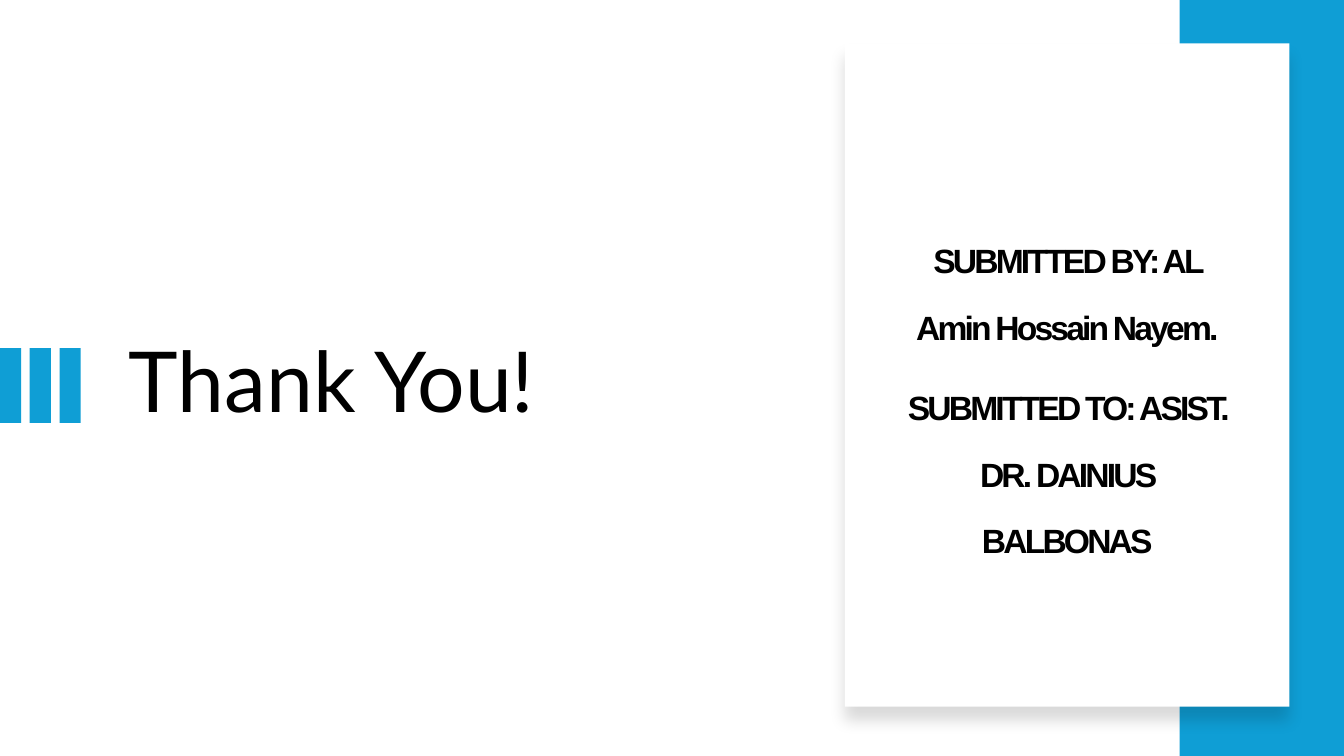
from lxml import etree
from pptx import Presentation
from pptx.dml.color import RGBColor
from pptx.enum.shapes import MSO_SHAPE as Shape
from pptx.enum.text import MSO_ANCHOR as Anchor, PP_ALIGN as Align
from pptx.oxml.ns import qn
from pptx.util import Inches, Pt

BLUE = RGBColor(0x0F, 0x9E, 0xD5)
WHITE = RGBColor(0xFF, 0xFF, 0xFF)
BLACK = RGBColor(0x00, 0x00, 0x00)
SLIDE_W, SLIDE_H = 13.33, 7.5


def add_rect(slide, left, top, width, height, color):
    rect = slide.shapes.add_shape(Shape.RECTANGLE, Inches(left), Inches(top),
                                  Inches(width), Inches(height))
    rect.shadow.inherit = False
    rect.fill.solid()
    rect.fill.fore_color.rgb = color
    rect.line.fill.background()
    return rect


def add_text(slide, box, paragraphs, *, size, font, bold=False, align=Align.LEFT,
             line_spacing=1.0, space_before=0, tracking=0):
    frame = slide.shapes.add_textbox(*map(Inches, box)).text_frame
    frame.word_wrap = True
    frame.vertical_anchor = Anchor.MIDDLE
    for index, text in enumerate(paragraphs):
        paragraph = frame.paragraphs[0] if index == 0 else frame.add_paragraph()
        paragraph.alignment = align
        paragraph.line_spacing = line_spacing
        paragraph.space_before = Pt(space_before)
        run = paragraph.add_run()
        run.text = text
        run.font.size = Pt(size)
        run.font.name = font
        run.font.bold = bold
        run.font.color.rgb = BLACK
        if tracking:
            run.font._element.set("spc", str(tracking * 100))


def add_soft_shadow(rect, *, alpha, blur, distance, angle):
    effects = rect._element.spPr.find(qn("a:effectLst"))
    shadow = etree.SubElement(effects, qn("a:outerShdw"), blurRad=str(Pt(blur)),
                              dist=str(Pt(distance)), dir=str(angle * 60000),
                              algn="t", rotWithShape="0")
    color = etree.SubElement(shadow, qn("a:srgbClr"), val=str(BLACK))
    etree.SubElement(color, qn("a:alpha"), val=str(alpha * 1000))


def add_closing_title(slide, left, top, width, height):
    add_text(slide, (left + 1.18, top, width - 1.18, height), ["Thank You!"],
             size=60, font="Lato", line_spacing=0.9)
    # Three accent bars at the slide edge
    bar_height = 0.74
    for index in range(3):
        add_rect(slide, left + index * 0.295, top + (height - bar_height) / 2,
                 0.21, bar_height, BLUE)


def add_credits_panel(slide, left, top, width, height):
    # Blue band along the right edge
    band_width = 1.63
    add_rect(slide, left + width - band_width, top, band_width, height, BLUE)
    # White card over the band
    card_top, card_width, card_height = top + 0.43, 4.41, 6.58
    card = add_rect(slide, left, card_top, card_width, card_height, WHITE)
    add_soft_shadow(card, alpha=15, blur=11, distance=10, angle=90)
    # Names
    add_text(slide, (left + 0.4, top + 1.85, card_width - 0.8, 3.98),
             ["SUBMITTED BY: AL Amin Hossain Nayem.",
              "SUBMITTED TO: ASIST. DR. DAINIUS BALBONAS"],
             size=24, font="Arial", bold=True, align=Align.CENTER,
             line_spacing=Pt(47.5), space_before=10, tracking=-2)


def main():
    deck = Presentation()
    deck.slide_width, deck.slide_height = Inches(SLIDE_W), Inches(SLIDE_H)
    slide = deck.slides.add_slide(deck.slide_layouts[6])
    add_closing_title(slide, 0, 1.25, 7.78, 5.15)
    add_credits_panel(slide, 8.38, 0, SLIDE_W - 8.38, SLIDE_H)
    deck.save("out.pptx")


if __name__ == "__main__":
    main()
